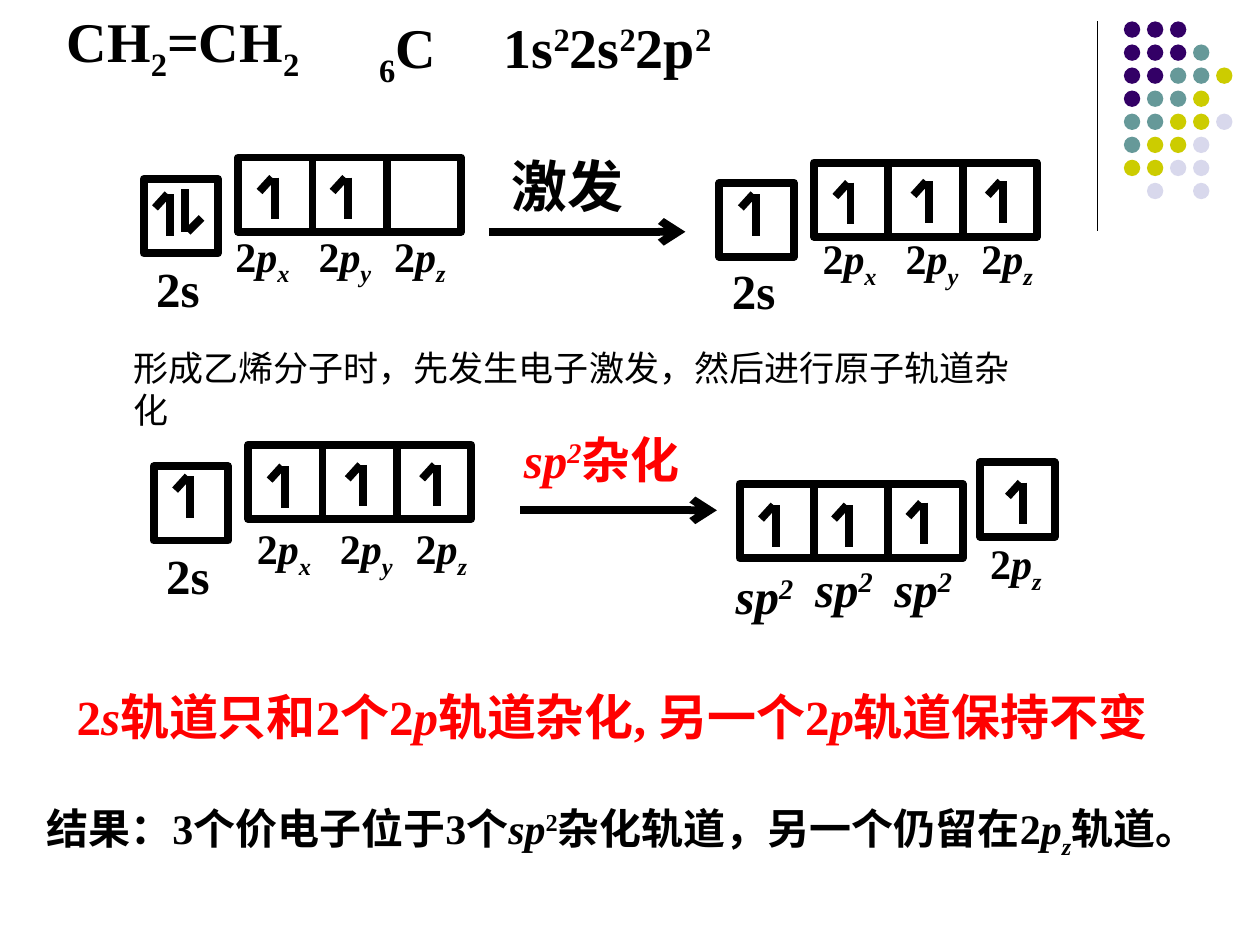
"""Build a slide on the sp2 hybridisation of carbon in ethylene."""
import pptx
import pptx.util
import pptx.dml.color
import pptx.enum.shapes
import pptx.enum.text
import pptx.oxml
import pptx.oxml.ns

Inches = pptx.util.Inches
BLACK = pptx.dml.color.RGBColor(0x00, 0x00, 0x00)
RED = pptx.dml.color.RGBColor(0xFF, 0x00, 0x00)
PURPLE = pptx.dml.color.RGBColor(0x33, 0x00, 0x66)
TEAL = pptx.dml.color.RGBColor(0x66, 0x99, 0x99)
OLIVE = pptx.dml.color.RGBColor(0xCC, 0xCC, 0x00)
LAVENDER = pptx.dml.color.RGBColor(0xD8, 0xD8, 0xEC)
SERIF = "Times New Roman"
CELL = 0.59

presentation = pptx.Presentation()
presentation.slide_width = Inches(10)
presentation.slide_height = Inches(7.5)
slide = presentation.slides.add_slide(presentation.slide_layouts[5])
shapes = slide.shapes


def write(holder, runs, size, color=BLACK, wrap=True, font=SERIF, bold=True):
    """Fill a text holder; style marks are i italic, ^ superscript, _ subscript."""
    frame = holder.text_frame
    frame.word_wrap = wrap
    frame.auto_size = pptx.enum.text.MSO_AUTO_SIZE.NONE
    frame.vertical_anchor = pptx.enum.text.MSO_ANCHOR.TOP
    paragraph = frame.paragraphs[0]
    paragraph.alignment = pptx.enum.text.PP_ALIGN.LEFT
    for text, style in runs:
        run = paragraph.add_run()
        run.text = text
        run.font.name = font
        run.font.size = pptx.util.Pt(size)
        run.font.bold = bold
        run.font.italic = "i" in style
        run.font.color.rgb = color
        if "^" in style:
            run.font._element.set("baseline", "30000")
        if "_" in style:
            run.font._element.set("baseline", "-25000")


def draw_line(x1, y1, x2, y2, width=4.5, arrow=False):
    """Draw a black line, with an open arrowhead at its end if asked."""
    line = shapes.add_connector(
        pptx.enum.shapes.MSO_CONNECTOR.STRAIGHT,
        Inches(x1), Inches(y1), Inches(x2), Inches(y2))
    line.line.color.rgb = BLACK
    line.line.width = pptx.util.Pt(width)
    if arrow:
        outline = line.line._get_or_add_ln()
        pptx.oxml.ns.qn("a:tailEnd")
        outline.append(pptx.oxml.parse_xml(
            '<a:tailEnd xmlns:a="http://schemas.openxmlformats.org/drawingml/2006/main" type="arrow"/>'))
    line._element.spPr.append(pptx.oxml.parse_xml(
        '<a:effectLst xmlns:a="http://schemas.openxmlformats.org/drawingml/2006/main"/>'))


draw_line(8.71, 0.17, 8.71, 1.83, width=0.75)
dot_colors = {"P": PURPLE, "T": TEAL, "O": OLIVE, "L": LAVENDER}
dot_rows = ["PPP", "PPPT", "PPTTO", "PTTO", "TTOOL", "TOOL", "OOLL", " L L"]
for row, pattern in enumerate(dot_rows):
    for column, letter in enumerate(pattern):
        if letter in dot_colors:
            dot = shapes.add_shape(
                pptx.enum.shapes.MSO_SHAPE.OVAL,
                Inches(8.92 + 0.183 * column), Inches(0.17 + 0.183 * row),
                Inches(0.13), Inches(0.13))
            dot.shadow.inherit = False
            dot.fill.solid()
            dot.fill.fore_color.rgb = dot_colors[letter]
            dot.line.fill.background()

formula = shapes.title
formula.left, formula.top = Inches(0.43), Inches(0)
formula.width, formula.height = Inches(2.42), Inches(0.63)
write(formula, [("CH", ""), ("2", "_"), ("=CH", ""), ("2", "_")], 32)

orbital_boxes = [
    (1.14, 1.42, 1), (1.89, 1.25, 3), (5.71, 1.45, 1), (6.46, 1.29, 3),
    (1.22, 3.7, 1), (1.97, 3.53, 3), (5.87, 3.84, 3), (7.78, 3.67, 1),
]
for left, top, cells in orbital_boxes:
    box = shapes.add_shape(
        pptx.enum.shapes.MSO_SHAPE.RECTANGLE,
        Inches(left), Inches(top), Inches(CELL * cells), Inches(CELL))
    box.shadow.inherit = False
    box.fill.background()
    box.line.color.rgb = BLACK
    box.line.width = pptx.util.Pt(4.5)
    for divider in range(1, cells):
        x = left + CELL * divider
        draw_line(x, top, x, top + CELL)

up_spins = [
    (1.35, 1.54), (2.18, 1.41), (2.76, 1.41),
    (6, 1.54), (6.75, 1.45), (7.37, 1.44), (7.96, 1.44),
    (1.51, 3.78), (2.26, 3.7), (2.88, 3.69), (3.47, 3.69),
    (6.16, 4.01), (6.74, 4.01), (7.33, 3.99), (8.12, 3.83),
]
for x, y in up_spins:
    draw_line(x - 0.02, y, x - 0.12, y + 0.11)
    draw_line(x, y, x, y + 0.33)
draw_line(1.49, 1.84, 1.6, 1.73)
draw_line(1.47, 1.84, 1.47, 1.5)

draw_line(3.88, 1.84, 5.44, 1.84, arrow=True)
draw_line(4.13, 4.05, 5.69, 4.05, arrow=True)

hybrid = [("sp", "i"), ("2", "i^")]
labels = [
    (2.91, 0.05, 0.82, 0.63, 32, BLACK, [("6", "_"), ("C", "")]),
    (3.9, 0.05, 2.2, 0.63, 32, BLACK,
     [("1s", ""), ("2", "^"), ("2s", ""), ("2", "^"), ("2p", ""), ("2", "^")]),
    (3.96, 1.15, 1.67, 0.63, 32, BLACK, [("激发", "")]),
    (4.06, 3.36, 1.67, 0.57, 28, RED, hybrid + [("杂化", "")]),
    (0.51, 5.4, 9.29, 0.57, 28, RED,
     [("2", ""), ("s", "i"), ("轨道只和2个2", ""), ("p", "i"),
      ("轨道杂化, 另一个2", ""), ("p", "i"), ("轨道保持不变", "")]),
    (0.27, 6.32, 9.4, 0.5, 24, BLACK,
     [("结果：3个价电子位于3个", ""), ("sp", "i"), ("2", "^"),
      ("杂化轨道，另一个仍留在2", ""), ("p", "i"), ("z", "i_"), ("轨道。", "")]),
]
for left, top in [(1.14, 2), (5.71, 2.02), (1.22, 4.28)]:
    labels.append((left, top, 0.71, 0.57, 28, BLACK, [("2s", "")]))
for left, top, width, height, size, color, runs in labels:
    label = shapes.add_textbox(Inches(left), Inches(top), Inches(width), Inches(height))
    write(label, runs, size, color)

p_labels = [(7.76, 4.22, "z")]
for left, top in [(1.77, 1.78), (6.43, 1.8), (1.94, 4.1)]:
    p_labels += [(left, top, "x"), (left + 0.66, top, "y"), (left + 1.26, top, "z")]
for left, top, axis in p_labels:
    p_label = shapes.add_textbox(Inches(left), Inches(top), Inches(0.64), Inches(0.5))
    write(p_label, [("2", ""), ("p", "i"), (axis, "i_")], 24, wrap=False)

for left, top in [(5.74, 4.44), (6.37, 4.38), (7, 4.38)]:
    hybrid_label = shapes.add_textbox(Inches(left), Inches(top), Inches(0.68), Inches(0.57))
    write(hybrid_label, hybrid, 28, wrap=False)

explanation = shapes.add_textbox(Inches(0.96), Inches(2.7), Inches(7.42), Inches(0.43))
write(explanation, [("形成乙烯分子时，先发生电子激发，然后进行原子轨道杂化", "")],
      20, font="Arial", bold=False)

presentation.save("out.pptx")
